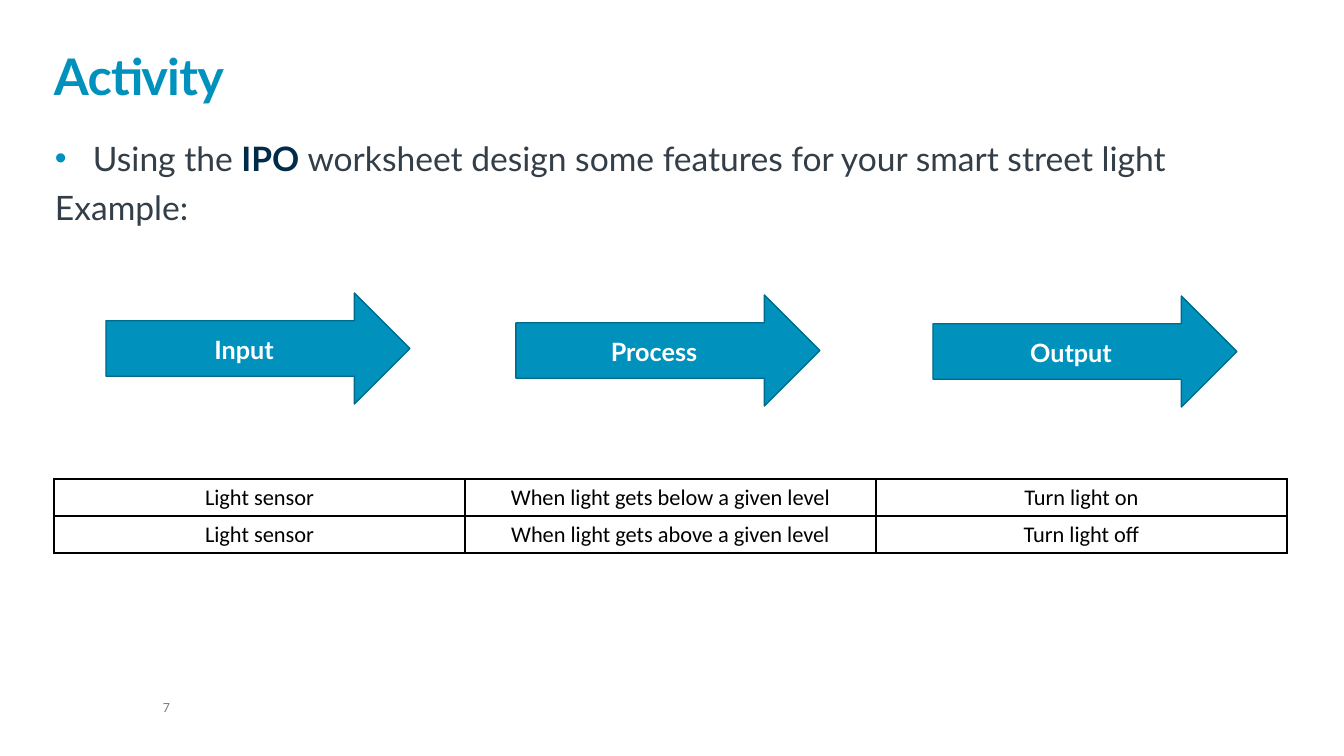
from lxml import etree
from pptx import Presentation
from pptx.dml.color import RGBColor
from pptx.enum.shapes import MSO_SHAPE
from pptx.enum.text import MSO_ANCHOR, PP_ALIGN
from pptx.oxml.ns import qn
from pptx.util import Pt

SCALE = 914400 / 100.8
ARROW = MSO_SHAPE.RIGHT_ARROW
CENTER = PP_ALIGN.CENTER
TOP, MIDDLE, BOTTOM = MSO_ANCHOR.TOP, MSO_ANCHOR.MIDDLE, MSO_ANCHOR.BOTTOM
COLORS = {
    "blue": "0091BD", "edge": "006B8C", "navy": "002B49", "slate": "333E48",
    "gray": "7F7F7F", "black": "000000", "white": "FFFFFF",
}


def px(n):
    return round(n * SCALE)


def rgb(name):
    return RGBColor.from_string(COLORS[name])


class Deck:
    """Holds the style and the current slide, and draws each kind of element."""

    def __init__(self, wide, high):
        self.prs = Presentation()
        self.prs.slide_width, self.prs.slide_height = px(wide), px(high)
        self.slide = self.prs.slides.add_slide(self.prs.slide_layouts[6])
        self.shapes = self.slide.shapes

    def style(self, run, size, color, bold=False, face="Lato"):
        font = run.font
        font.name, font.size, font.bold = face, Pt(size), bold
        font.color.rgb = rgb(color)

    def box(self, x, y, w, h, anchor=TOP):
        frame = self.shapes.add_textbox(px(x), px(y), px(w), px(h)).text_frame
        frame.word_wrap = True
        frame.vertical_anchor = anchor
        frame.margin_left = frame.margin_right = 0
        frame.margin_top = frame.margin_bottom = 0
        return frame

    def line(self, frame, text, size, color, bold=False, face="Lato", space=None):
        frame.text = text
        para = frame.paragraphs[0]
        para.line_spacing = space
        self.style(para.runs[0], size, color, bold, face)
        return para

    def bullet(self, para, indent):
        props = para._p.get_or_add_pPr()
        props.set("marL", str(px(indent)))
        props.set("indent", str(-px(indent)))
        tint = etree.SubElement(props, qn("a:buClr"))
        etree.SubElement(tint, qn("a:srgbClr"), val=COLORS["blue"])
        etree.SubElement(props, qn("a:buFont"), typeface="Arial")
        etree.SubElement(props, qn("a:buChar"), char="•")

    def arrow(self, x, y, w, h, text):
        shape = self.shapes.add_shape(ARROW, px(x), px(y), px(w), px(h))
        shape.shadow.inherit = False
        shape.fill.solid()
        shape.fill.fore_color.rgb = rgb("blue")
        shape.line.color.rgb = rgb("edge")
        shape.line.width = Pt(1)
        frame = shape.text_frame
        frame.vertical_anchor = MIDDLE
        para = self.line(frame, text, 18, "white", True, space=1.07)
        para.alignment = CENTER
        para.space_after = Pt(8)

    def border(self, cell):
        props = cell._tc.get_or_add_tcPr()
        for i, side in enumerate(("lnL", "lnR", "lnT", "lnB")):
            edge = etree.Element(qn("a:" + side), w=str(Pt(1)))
            fill = etree.SubElement(edge, qn("a:solidFill"))
            etree.SubElement(fill, qn("a:srgbClr"), val=COLORS["black"])
            props.insert(i, edge)

    def table(self, x, y, w, h, rows):
        grid = self.shapes.add_table(
            len(rows), len(rows[0]), px(x), px(y), px(w), px(h)).table
        grid.first_row = grid.horz_banding = False
        for r, row in enumerate(rows):
            for c, text in enumerate(row):
                cell = grid.cell(r, c)
                cell.fill.background()
                self.border(cell)
                para = self.line(cell.text_frame, text, 16, "black", face="Calibri")
                para.alignment = CENTER


def main():
    deck = Deck(1344, 756)

    num = deck.box(163, 700, 120, 15)
    deck.line(num, "7", 10, "gray", face="Calibri", space=0.9)

    title = deck.box(54, 32, 1233, 74, BOTTOM)
    head = deck.line(title, "Activity", 36, "blue", True, space=0.85)
    head.runs[0]._r.get_or_add_rPr().set("spc", "-50")

    body = deck.box(55, 138, 1233, 481)
    task = body.paragraphs[0]
    deck.bullet(task, 38)
    for text, color, bold in (
        ("Using the ", "slate", False),
        ("IPO ", "navy", True),
        ("worksheet design some features for your smart street light", "slate", False),
    ):
        run = task.add_run()
        run.text = text
        deck.style(run, 24, color, bold)
    case = body.add_paragraph()
    case.text = "Example:"
    case.space_before = Pt(6)
    deck.style(case.runs[0], 24, "slate")

    deck.table(54, 479, 1233, 74, (
        ("Light sensor", "When light gets below a given level", "Turn light on"),
        ("Light sensor", "When light gets above a given level", "Turn light off"),
    ))

    for x, y, text in ((106, 293, "Input"), (516, 295, "Process"), (933, 296, "Output")):
        deck.arrow(x, y, 304, 111, text)

    deck.prs.save("out.pptx")


if __name__ == "__main__":
    main()
